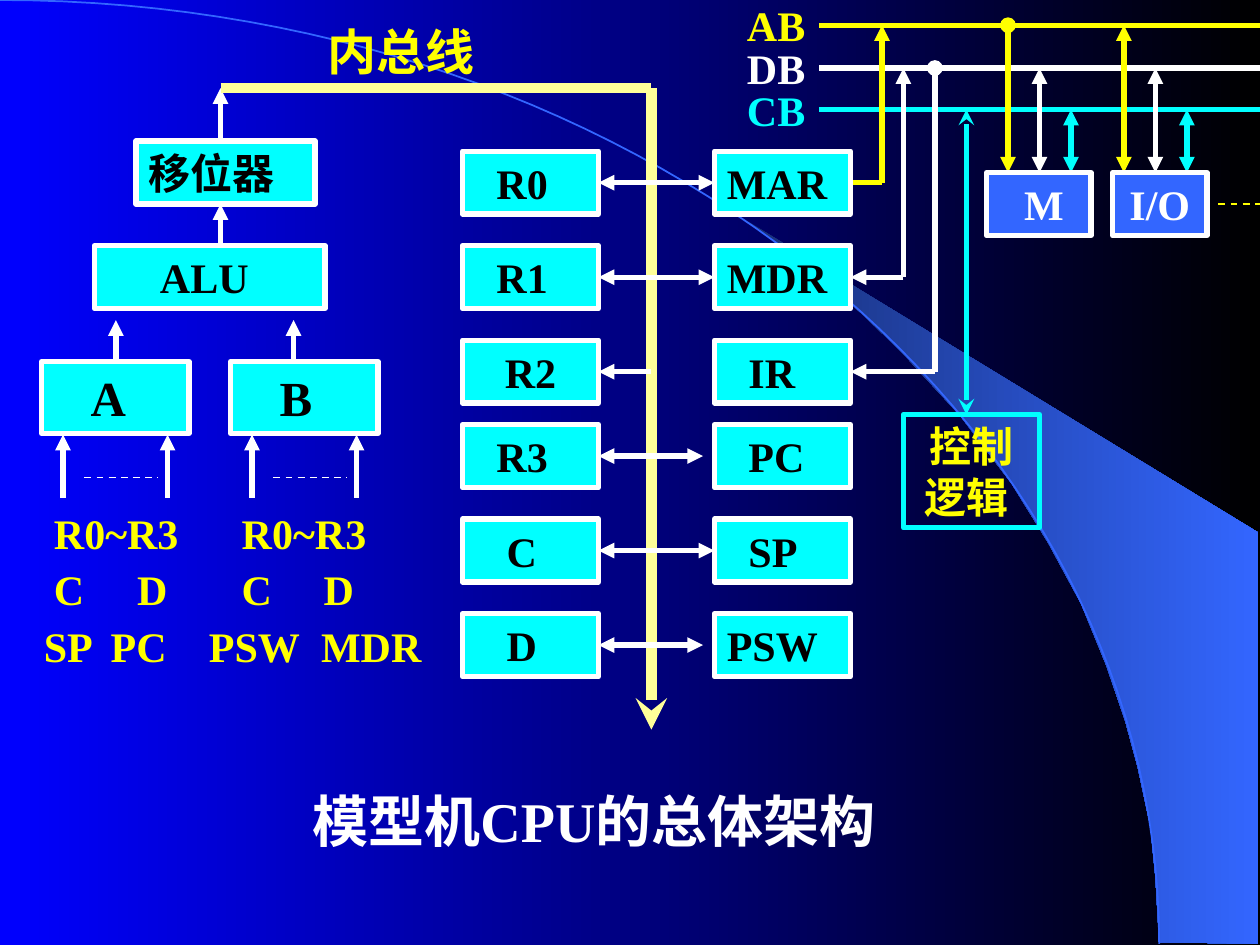
from lxml.etree import SubElement
from pptx import Presentation
from pptx.dml.color import RGBColor as RGB
from pptx.enum.dml import MSO_LINE as DASH
from pptx.enum.shapes import MSO_CONNECTOR as CONN, MSO_SHAPE as SHAPE
from pptx.enum.text import MSO_ANCHOR as ANCHOR, PP_ALIGN as ALIGN
from pptx.oxml.ns import qn
from pptx.util import Inches, Pt

INK = {
    "blue": "0000FF", "black": "000000", "navy": "182F76", "sky": "3366FF",
    "white": "FFFFFF", "yellow": "FFFF00", "cyan": "00FFFF", "cream": "FFFF99",
}
LATIN, HAN = "Times New Roman", "Noto Sans CJK SC"
TRI = "triangle"


def tint(name):
    return RGB.from_string(INK[name])


def blend(fill, start, end):
    """Fill with a left-to-right gradient."""
    fill.gradient()
    fill.gradient_angle = 0
    for stop, name, pos in zip(fill.gradient_stops, (start, end), (0, 1)):
        stop.color.rgb = tint(name)
        stop.position = pos


def link(slide, start, end, color="white", width=3, head=None, tail=None,
         dash=False):
    ends = [Inches(v) for v in (*start, *end)]
    line = slide.shapes.add_connector(CONN.STRAIGHT, *ends)
    line.line.color.rgb = tint(color)
    line.line.width = Pt(width)
    if dash:
        line.line.dash_style = DASH.DASH
    pen = line.line._get_or_add_ln()
    for tag, kind in (("a:headEnd", head), ("a:tailEnd", tail)):
        if kind:
            SubElement(pen, qn(tag), type=kind)
    SubElement(line._element.spPr, qn("a:effectLst"))


def add_run(para, text, size, color, font=LATIN):
    run = para.add_run()
    run.text = text
    run.font.size = Pt(size)
    run.font.bold = True
    run.font.name = font
    run.font.color.rgb = tint(color)
    SubElement(run._r.get_or_add_rPr(), qn("a:ea"), typeface=HAN)


def set_frame(frame, pad=0, wrap=True):
    frame.word_wrap = wrap
    frame.vertical_anchor = ANCHOR.TOP
    frame.margin_left = Inches(0.1 + pad)
    frame.margin_right = Inches(0.1)
    frame.margin_top = frame.margin_bottom = Inches(0.05)
    return frame.paragraphs[0]


def label(slide, x, y, w, h, text, color, size=24, wrap=True):
    box = slide.shapes.add_textbox(*map(Inches, (x, y, w, h)))
    add_run(set_frame(box.text_frame, wrap=wrap), text, size, color)


def block(slide, x, y, w, h, text, pad=0, size=24, fill="cyan", edge="white",
          color="black", align=ALIGN.LEFT, font=LATIN):
    """Draw a framed unit whose text starts after the given pad."""
    box = slide.shapes.add_shape(SHAPE.RECTANGLE, *map(Inches, (x, y, w, h)))
    box.shadow.inherit = False
    if fill:
        box.fill.solid()
        box.fill.fore_color.rgb = tint(fill)
    else:
        box.fill.background()
    box.line.color.rgb = tint(edge)
    box.line.width = Pt(3)
    para = set_frame(box.text_frame, pad)
    para.alignment = align
    add_run(para, text, size, color, font)
    return box


def outline(slide, points, close):
    spots = [(Inches(x), Inches(y)) for x, y in points]
    pen = slide.shapes.build_freeform(*spots[0])
    pen.add_line_segments(spots[1:], close=close)
    shape = pen.convert_to_shape()
    shape.shadow.inherit = False
    return shape


def curve(ends, steps=60):
    """Points along a cubic Bezier."""
    for i in range(steps + 1):
        t = i / steps
        parts = ((1 - t) ** 3, 3 * t * (1 - t) ** 2, 3 * t * t * (1 - t), t ** 3)
        yield tuple(sum(k * p[n] for k, p in zip(parts, ends)) for n in (0, 1))


def backdrop(slide):
    blend(slide.background.fill, "blue", "black")
    beam = outline(slide, [
        (9.2, 7.48), (9.99, 7.49), (9.99, 4.23), (5.89, 1.73), (6.24, 1.99),
        (6.53, 2.22), (6.85, 2.5), (7.16, 2.8), (7.62, 3.3), (8.03, 3.84),
        (8.32, 4.31), (8.58, 4.79), (8.78, 5.28), (8.93, 5.72), (9.03, 6.09),
        (9.13, 6.56), (9.17, 6.96)], True)
    blend(beam.fill, "navy", "sky")
    beam.line.fill.background()
    arc = outline(slide, curve([(0, 0), (5.08, 0), (9.2, 3.35), (9.2, 7.49)]),
                  False)
    arc.fill.background()
    arc.line.color.rgb = tint("sky")
    arc.line.width = Pt(1)


def sources(slide, x, y):
    """List the inputs of both latches in tabbed columns."""
    box = slide.shapes.add_textbox(*map(Inches, (x, y, 3.58, 1.24)))
    set_frame(box.text_frame)
    rows = [
        ("R0~R3", 0.33, "R0~R3", 1.82),
        ("C", 0.33, "D", 0.99, "C", 1.82, "D", 2.47),
        ("SP", 0.25, "PC", 0.78, "PSW", 1.56, "MDR", 2.45),
    ]
    for i, row in enumerate(rows):
        para = box.text_frame.add_paragraph() if i else box.text_frame.paragraphs[0]
        para.line_spacing = 0.6
        if i:
            para.space_before = Pt(15)
        tabs = SubElement(para._p.get_or_add_pPr(), qn("a:tabLst"))
        for stop in row[1::2]:
            SubElement(tabs, qn("a:tab"), pos=str(Inches(stop)), algn="l")
        for word in row[::2]:
            add_run(para, "\t" + word, 24, "yellow")


def alu_part(slide, x, y):
    for dx, low, high in ((1.75, 0.42, 0), (1.75, 1.25, 0.92),
                          (0.92, 2.17, 1.84), (2.33, 2.17, 1.84)):
        link(slide, (x + dx, y + low), (x + dx, y + high), tail=TRI)
    block(slide, x + 1.08, y + 0.42, 1.42, 0.5, "移位器")
    block(slide, x + 0.75, y + 1.25, 1.83, 0.5, "ALU", 0.42)
    for name, left in (("A", x + 0.33), ("B", x + 1.83)):
        for dx in (0.17, 1):
            link(slide, (left + dx, y + 3.25), (left + dx, y + 2.75), tail=TRI)
        link(slide, (left + 0.34, y + 3.09), (left + 0.92, y + 3.09),
             width=1, dash=True)
        block(slide, left, y + 2.17, 1.17, 0.57, name, 0.29, 28)
    sources(slide, x, y + 3.42)


def inner_bus(slide, x, y):
    """Draw the bus and the two register columns beside it."""
    link(slide, (x - 1.92, y), (x + 1.5, y), "cream", 6)
    link(slide, (x + 1.5, y), (x + 1.5, y + 5.09), "cream", 6, tail="stealth")
    label(slide, x - 1.17, y - 0.58, 1.75, 0.57, "内总线", "yellow", 28)
    rows = [
        (0.5, "R0", 0.17, "MAR", 0, 2, TRI),
        (1.25, "R1", 0.17, "MDR", 0, 2, TRI),
        (2, "R2", 0, "IR", 0.17, 1.5, None),
        (2.67, "R3", 0.17, "PC", 0.17, 1.91, TRI),
        (3.42, "C", 0.25, "SP", 0.17, 2, TRI),
        (4.17, "D", 0.25, "PSW", 0, 1.91, TRI),
    ]
    for dy, left, gap, right, inset, reach, head in rows:
        top = y + dy
        link(slide, (x + reach, top + 0.25), (x + 1.08, top + 0.25),
             head=head, tail=TRI)
        unit = block(slide, x, top, 1.08, 0.5, left, gap)
        if left == "R2":
            unit.text_frame.paragraphs[0].alignment = ALIGN.CENTER
            unit.text_frame.vertical_anchor = ANCHOR.MIDDLE
        block(slide, x + 2, top, 1.08, 0.5, right, inset)


def outer_bus(slide, x, y):
    """Draw the three system buses and all that hangs on them."""
    def wire(a, b, *args, **kw):
        link(slide, (x + a[0], y + a[1]), (x + b[0], y + b[1]), *args, **kw)

    buses = [("AB", 0, "yellow"), ("DB", 0.34, "white"), ("CB", 0.67, "cyan")]
    for name, dy, color in buses:
        wire((0.67, dy), (4.17, dy), color)
        label(slide, x, y + dy - 0.25, 0.92, 0.5, name, color)

    units = [("M", 2, 0.83, 0.17, 0.08, "oval"),
             ("I/O", 3, 0.75, 0.09, 0, TRI)]
    for name, left, wide, first, pad, top in units:
        for i, (bus, dy, color) in enumerate(buses):
            at = left + first + 0.25 * i
            wire((at, dy), (at, 1.17), color, tail=TRI,
                 head=top if bus == "AB" else TRI)
        block(slide, x + left, y + 1.17, wide, 0.5, name, pad,
              fill="sky", color="white", align=ALIGN.CENTER)
    wire((3.84, 1.42), (4.17, 1.42), "yellow", 1, dash=True)

    wire((0.92, 1.25), (1.17, 1.25), "yellow")
    wire((1.17, 1.25), (1.17, 0), "yellow", tail=TRI)
    wire((1.34, 2), (0.92, 2), tail=TRI)
    wire((1.34, 2), (1.34, 0.34), tail=TRI)
    wire((1.59, 0.34), (1.59, 2.75), head="oval")
    wire((1.59, 2.75), (0.92, 2.75), tail=TRI)
    wire((1.84, 0.67), (1.84, 3.09), "cyan", head="stealth", tail="stealth")
    block(slide, x + 1.34, y + 3.09, 1.08, 0.9, "控制逻辑 ", fill=None,
          edge="cyan", color="yellow", align=ALIGN.CENTER, font=HAN)


def main():
    deck = Presentation()
    deck.slide_width, deck.slide_height = Inches(10), Inches(7.5)
    slide = deck.slides.add_slide(deck.slide_layouts[6])
    backdrop(slide)
    label(slide, 2.38, 6.19, 4.89, 0.64, "模型机CPU的总体架构", "white", 32, False)
    alu_part(slide, 0, 0.7)
    outer_bus(slide, 5.83, 0.2)
    inner_bus(slide, 3.67, 0.7)
    deck.save("out.pptx")


if __name__ == "__main__":
    main()
